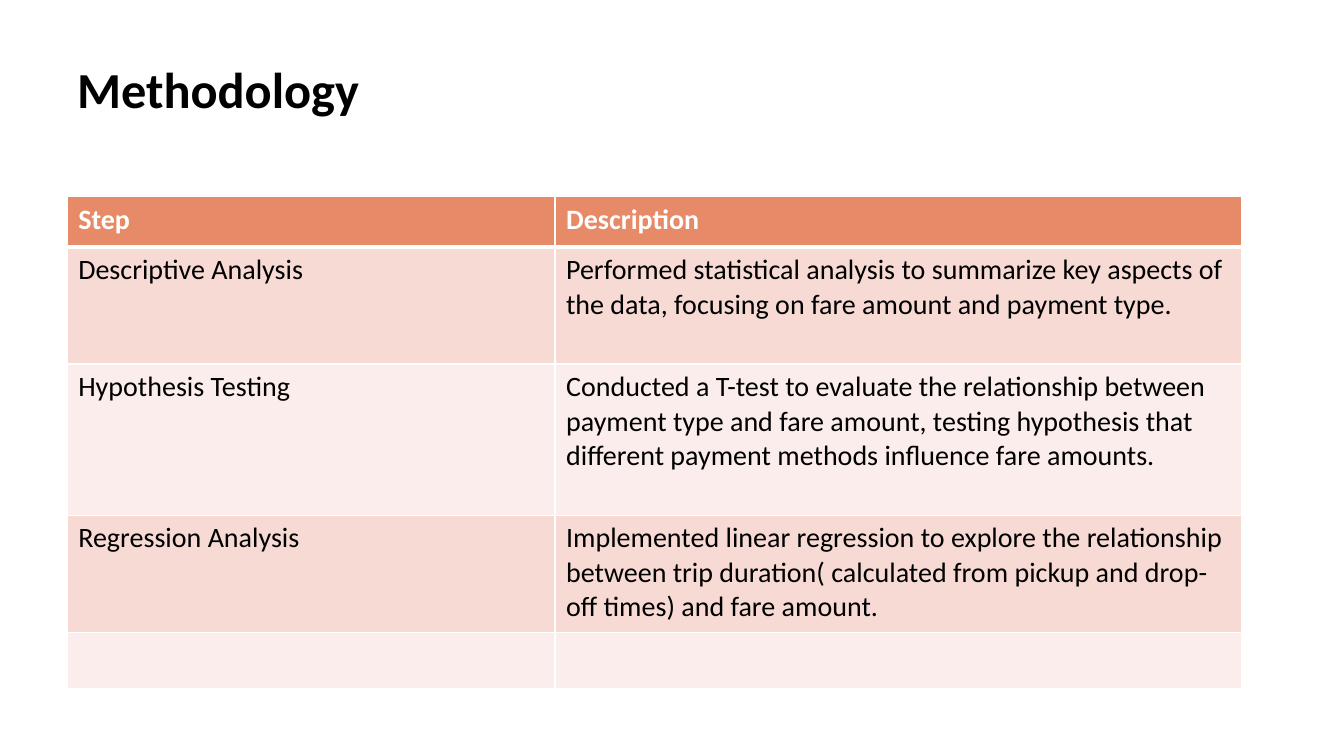
import dataclasses

import lxml.etree
import pptx
import pptx.dml.color
import pptx.enum.text
import pptx.oxml.ns
import pptx.util


@dataclasses.dataclass(frozen=True)
class Theme:
    font: str = "Calibri"
    title_size: int = 36
    table_size: int = 20
    ink: str = "000000"
    paper: str = "FFFFFF"
    header: str = "E78A67"
    bands: tuple = ("F6DAD3", "FAEDEB")
    thin_line: int = 1
    header_line: int = 3


def color(code):
    return pptx.dml.color.RGBColor.from_string(code)


def write(frame, text, *, font, size, ink, bold=False, spacing=None):
    """Put one formatted paragraph into a text frame."""
    frame.word_wrap = True
    para = frame.paragraphs[0]
    para.line_spacing = spacing
    span = para.add_run()
    span.text = text
    span.font.name = font
    span.font.size = pptx.util.Pt(size)
    span.font.bold = bold
    span.font.color.rgb = color(ink)


def border(cell, side, width, code):
    """Draw one side of a cell; call in the order L, R, T, B, before the fill."""
    name = pptx.oxml.ns.qn
    properties = cell._tc.get_or_add_tcPr()
    line = lxml.etree.SubElement(
        properties, name(f"a:ln{side}"), w=str(pptx.util.Pt(width)))
    fill = lxml.etree.SubElement(line, name("a:solidFill"))
    lxml.etree.SubElement(fill, name("a:srgbClr"), val=code)


class Page:
    """One slide on a grid of 20 columns and 25 rows."""

    def __init__(self, deck, theme):
        self.theme = theme
        self.slide = deck.slides.add_slide(deck.slide_layouts[6])
        self.column = deck.slide_width / 20
        self.row = deck.slide_height / 25

    def across(self, columns):
        return pptx.util.Emu(round(columns * self.column))

    def down(self, rows):
        return pptx.util.Emu(round(rows * self.row))

    def title(self, text, left, top, width, height):
        box = self.slide.shapes.add_textbox(
            self.across(left), self.down(top), self.across(width), self.down(height))
        box.text_frame.vertical_anchor = pptx.enum.text.MSO_ANCHOR.TOP
        write(box.text_frame, text, font=self.theme.font,
              size=self.theme.title_size, ink=self.theme.ink, bold=True, spacing=0.9)

    def table(self, records, left, top, widths, heights):
        table = self.slide.shapes.add_table(
            len(heights), len(widths), self.across(left), self.down(top),
            self.across(sum(widths)), self.down(sum(heights))).table
        for column, width in zip(table.columns, widths):
            column.width = self.across(width)
        for row, height in zip(table.rows, heights):
            row.height = self.down(height)
        for index, record in enumerate(records):
            for cell, text in zip(table.rows[index].cells, record):
                self.cell(cell, text, index)

    def cell(self, cell, text, index):
        theme = self.theme
        is_header = index == 0
        cell.margin_left = cell.margin_right = pptx.util.Inches(0.11)
        cell.margin_top = cell.margin_bottom = pptx.util.Inches(0.06)
        # The heavy line lies between the header and the first step
        heavy_side = {0: "B", 1: "T"}.get(index)
        for side in "LRTB":
            width = theme.header_line if side == heavy_side else theme.thin_line
            border(cell, side, width, theme.paper)
        cell.fill.solid()
        cell.fill.fore_color.rgb = color(
            theme.header if is_header else theme.bands[(index - 1) % 2])
        if text:
            write(cell.text_frame, text, font=theme.font, size=theme.table_size,
                  ink=theme.paper if is_header else theme.ink, bold=is_header)


STEPS = [
    ("Step", "Description"),
    ("Descriptive Analysis",
     "Performed statistical analysis to summarize key aspects of the data, "
     "focusing on fare amount and payment type."),
    ("Hypothesis Testing",
     "Conducted a T-test to evaluate the relationship between payment type and "
     "fare amount, testing hypothesis that different payment methods influence "
     "fare amounts."),
    ("Regression Analysis",
     "Implemented linear regression to explore the relationship between trip "
     "duration( calculated from pickup and drop-off times) and fare amount."),
    ("", ""),
]


def main():
    deck = pptx.Presentation()
    deck.slide_width = pptx.util.Inches(13.33)
    deck.slide_height = pptx.util.Inches(7.5)
    page = Page(deck, Theme())

    # Heading
    page.title("Methodology", left=1, top=2, width=17.48, height=4.13)

    # Steps of the method
    page.table(STEPS, left=1, top=6.5, widths=(7.26, 10.22),
               heights=(1.67, 3.87, 5, 3.87, 1.87))

    deck.save("out.pptx")


if __name__ == "__main__":
    main()
